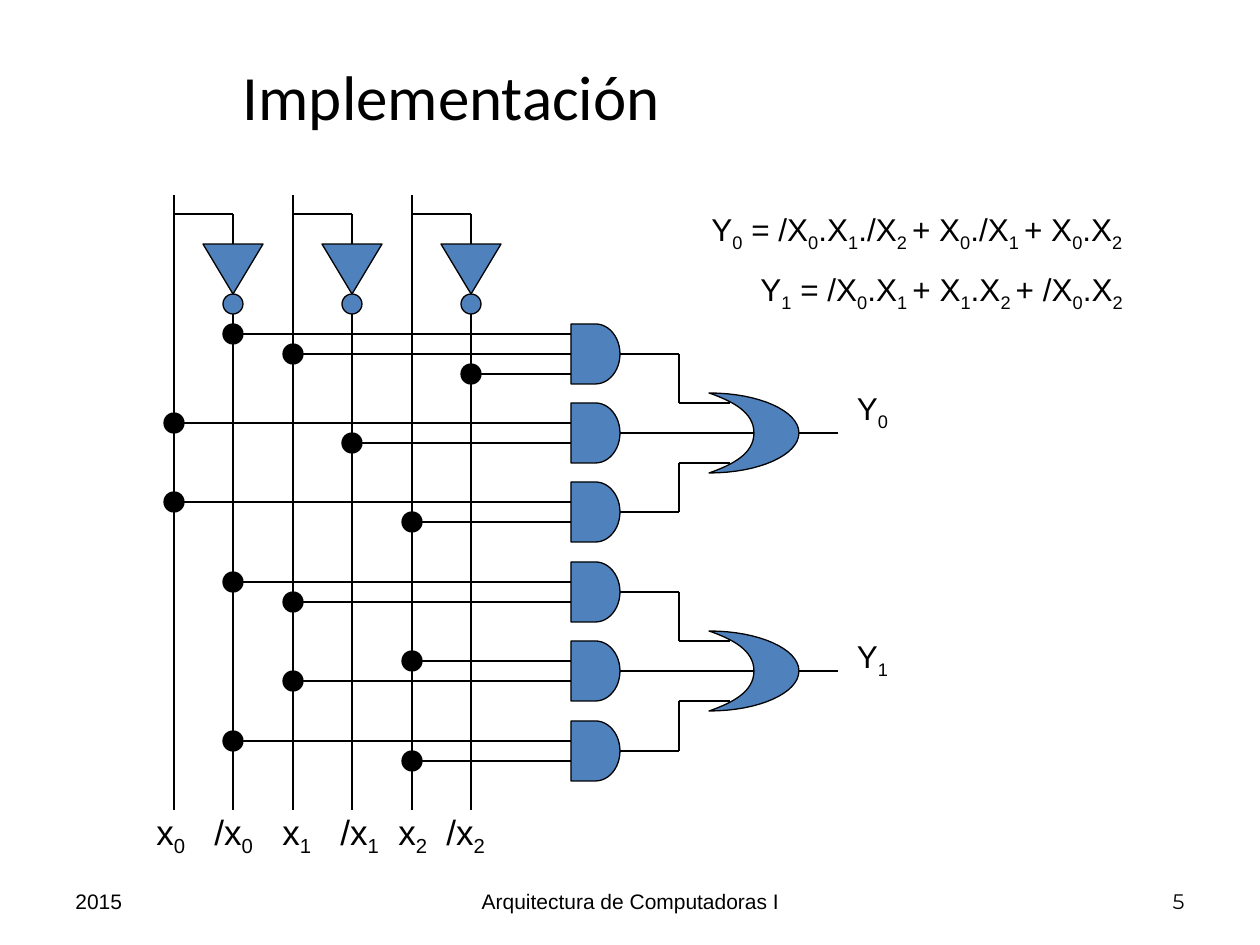
from dataclasses import dataclass

from lxml import etree
from pptx import Presentation
from pptx.dml.color import RGBColor
from pptx.enum.shapes import MSO_CONNECTOR, MSO_SHAPE
from pptx.enum.text import MSO_ANCHOR, PP_ALIGN
from pptx.oxml.ns import qn
from pptx.util import Emu, Pt

EMU_PER_PX = 914400 / 126
STRAIGHT = MSO_CONNECTOR.STRAIGHT
AND_GATE, TRIANGLE, CIRCLE = (
    MSO_SHAPE.FLOWCHART_DELAY, MSO_SHAPE.FLOWCHART_EXTRACT, MSO_SHAPE.OVAL)
LEFT, CENTER, RIGHT = PP_ALIGN.LEFT, PP_ALIGN.CENTER, PP_ALIGN.RIGHT
TOP, MIDDLE = MSO_ANCHOR.TOP, MSO_ANCHOR.MIDDLE
LEFT_SITE, RIGHT_SITE = 1, 3

BLACK, BLUE = "000000", "4F81BD"
THIN, THICK = 0.75, 1
DOT = 20
BUS_TOP, BRANCH_Y, BUS_BOTTOM = 195, 214, 810
INVERTER_TOP, INVERTER_WIDTH, INVERTER_HEIGHT = 244, 60, 50
GATE_LEFT, GATE_WIDTH, GATE_HEIGHT = 571, 49, 60
INPUT_GAP = 20
ELBOW_X, OR_INPUT_X, OR_NOTCH_X = 679, 730, 754
OR_LEFT, OR_RIGHT, OR_HALF, OR_INPUT_OFFSET, OUTPUT_X = 709, 799, 40, 30, 838
CURVE_STEPS = 16

SIGNALS = ["x0", "/x0", "x1", "/x1", "x2", "/x2"]
BUS_X = {name: 174 + i * 119 // 2 for i, name in enumerate(SIGNALS)}
OUTPUTS = [
    [["/x0", "x1", "/x2"], ["x0", "/x1"], ["x0", "x2"]],
    [["/x0", "x1"], ["x2", "x1"], ["/x0", "x2"]],
]


@dataclass
class Label:
    """Text box; every second part of text between bars is a subscript."""
    text: str
    left: int
    top: int
    width: int
    height: int
    size: int
    align: PP_ALIGN = LEFT
    anchor: MSO_ANCHOR = TOP
    font: str = "Arial"
    tabs: tuple[int, ...] = ()


LABELS = [
    Label("Implementación", 15, 32, 873, 126, 36, CENTER, MIDDLE, "Calibri"),
    Label("2015", 63, 876, 294, 50, 12, LEFT, MIDDLE),
    Label("Arquitectura de Computadoras I", 431, 876, 399, 50, 12, CENTER, MIDDLE),
    Label("5", 903, 876, 294, 50, 12, RIGHT, MIDDLE, "Montserrat"),
    Label("Y|0| = /X|0|.X|1|./X|2 |+ X|0|./X|1 |+ X|0|.X|2", 699, 204, 466, 55, 18),
    Label("Y|1| = /X|0|.X|1 |+ X|1|.X|2 |+ /X|0|.X|2", 748, 264, 417, 55, 18),
    Label("x|0|\t/x|0|\tx|1|\t/x|1|\tx|2|\t/x|2", 144, 804, 367, 60, 20,
          tabs=(58, 126, 184, 242, 290)),
    Label("Y|0", 838, 383, 69, 55, 18, CENTER),
    Label("Y|1", 838, 631, 69, 55, 18, CENTER),
]


def px(value: float) -> Emu:
    return Emu(round(value * EMU_PER_PX))


def color(value: str) -> RGBColor:
    return RGBColor.from_string(value)


def paint(shape, fill: str) -> None:
    shape.shadow.inherit = False
    shape.fill.solid()
    shape.fill.fore_color.rgb = color(fill)
    shape.line.color.rgb = color(BLACK)
    shape.line.width = Pt(THIN)


def add_part(slide, kind, left: int, top: int, width: int, height: int,
             fill: str = BLUE, rotation: int = 0):
    part = slide.shapes.add_shape(kind, px(left), px(top), px(width), px(height))
    part.rotation = rotation
    paint(part, fill)
    return part


def add_wire(slide, x1: int, y1: int, x2: int, y2: int, width: float = THIN):
    wire = slide.shapes.add_connector(STRAIGHT, px(x1), px(y1), px(x2), px(y2))
    wire.line.color.rgb = color(BLACK)
    wire.line.width = Pt(width)
    etree.SubElement(wire._element.spPr, qn("a:effectLst"))
    return wire


def add_label(slide, label: Label) -> None:
    box = slide.shapes.add_textbox(
        px(label.left), px(label.top), px(label.width), px(label.height))
    frame = box.text_frame
    frame.word_wrap = True
    frame.vertical_anchor = label.anchor
    paragraph = frame.paragraphs[0]
    paragraph.alignment = label.align
    if label.tabs:
        stops = etree.SubElement(paragraph._p.get_or_add_pPr(), qn("a:tabLst"))
        for position in label.tabs:
            etree.SubElement(stops, qn("a:tab"), pos=str(px(position)), algn="l")
    for i, part in enumerate(label.text.split("|")):
        run = paragraph.add_run()
        run.text = part
        run.font.name = label.font
        run.font.size = Pt(label.size)
        run.font.color.rgb = color(BLACK)
        if i % 2:
            run._r.get_or_add_rPr().set("baseline", "-25000")


def curve(*controls: tuple[int, int]) -> list[tuple[int, int]]:
    """Points along a cubic Bézier curve, in EMU, without its start."""
    points = []
    for step in range(1, CURVE_STEPS + 1):
        t = step / CURVE_STEPS
        weights = ((1 - t) ** 3, 3 * t * (1 - t) ** 2, 3 * t * t * (1 - t), t ** 3)
        points.append(tuple(px(sum(w * c[axis] for w, c in zip(weights, controls)))
                            for axis in (0, 1)))
    return points


def add_or_gate(slide, center: int) -> None:
    top, bottom = center - OR_HALF, center + OR_HALF
    upper, lower = (OR_LEFT, top), (OR_LEFT, bottom)
    notch, tip = (OR_NOTCH_X, center), (OR_RIGHT, center)
    outline = (
        curve(upper, (732, top + 8), (OR_NOTCH_X, center - 21), notch)
        + curve(notch, (OR_NOTCH_X, center + 21), (732, bottom - 8), lower)
        + curve(lower, (759, bottom), (OR_RIGHT, center + 22), tip)
        + curve(tip, (OR_RIGHT, center - 22), (759, top), upper))
    builder = slide.shapes.build_freeform(px(OR_LEFT), px(top))
    builder.add_line_segments(outline, close=True)
    paint(builder.convert_to_shape(), BLUE)
    add_wire(slide, OUTPUT_X, center, OR_RIGHT, center)


def add_bus_pair(slide, plain_x: int, inverted_x: int) -> None:
    """A signal line and its inverted branch."""
    bubble_top = INVERTER_TOP + INVERTER_HEIGHT
    add_wire(slide, plain_x, BUS_TOP, plain_x, BUS_BOTTOM, THICK)
    add_wire(slide, plain_x, BRANCH_Y, inverted_x, BRANCH_Y)
    add_wire(slide, inverted_x, BRANCH_Y, inverted_x, INVERTER_TOP)
    add_wire(slide, inverted_x, bubble_top + DOT, inverted_x, BUS_BOTTOM, THICK)
    add_part(slide, TRIANGLE, inverted_x - INVERTER_WIDTH // 2, INVERTER_TOP,
             INVERTER_WIDTH, INVERTER_HEIGHT, rotation=180)
    add_part(slide, CIRCLE, inverted_x - DOT // 2, bubble_top, DOT, DOT)


def add_and_gate(slide, center: int, inputs: list[str]):
    gate = add_part(slide, AND_GATE, GATE_LEFT, center - GATE_HEIGHT // 2,
                    GATE_WIDTH, GATE_HEIGHT)
    first_y = center - INPUT_GAP * (len(inputs) - 1) // 2
    for i, signal in enumerate(inputs):
        x, y = BUS_X[signal], first_y + i * INPUT_GAP
        wire = add_wire(slide, x, y, GATE_LEFT, y)
        if y == center:
            wire.end_connect(gate, LEFT_SITE)
        add_part(slide, CIRCLE, x - DOT // 2, y - DOT // 2, DOT, DOT, BLACK)
    return gate


def add_output(slide, terms: list[list[str]], first_gate: int) -> None:
    """AND gates of one output, joined by an OR gate."""
    centers = [354 + (first_gate + i) * 397 // 5 for i in range(len(terms))]
    or_center = centers[1]
    add_or_gate(slide, or_center)
    for side, center, inputs in zip((-1, 0, 1), centers, terms):
        gate = add_and_gate(slide, center, inputs)
        end_x = ELBOW_X if side else OR_NOTCH_X
        wire = add_wire(slide, GATE_LEFT + GATE_WIDTH, center, end_x, center)
        wire.begin_connect(gate, RIGHT_SITE)
        if side:
            input_y = or_center + side * OR_INPUT_OFFSET
            add_wire(slide, ELBOW_X, center, ELBOW_X, input_y)
            add_wire(slide, ELBOW_X, input_y, OR_INPUT_X, input_y)


def main() -> None:
    deck = Presentation()
    deck.slide_width, deck.slide_height = px(1260), px(945)
    slide = deck.slides.add_slide(deck.slide_layouts[6])
    for plain, inverted in zip(SIGNALS[::2], SIGNALS[1::2]):
        add_bus_pair(slide, BUS_X[plain], BUS_X[inverted])
    for i, terms in enumerate(OUTPUTS):
        add_output(slide, terms, i * len(terms))
    for label in LABELS:
        add_label(slide, label)
    deck.save("out.pptx")


if __name__ == "__main__":
    main()
